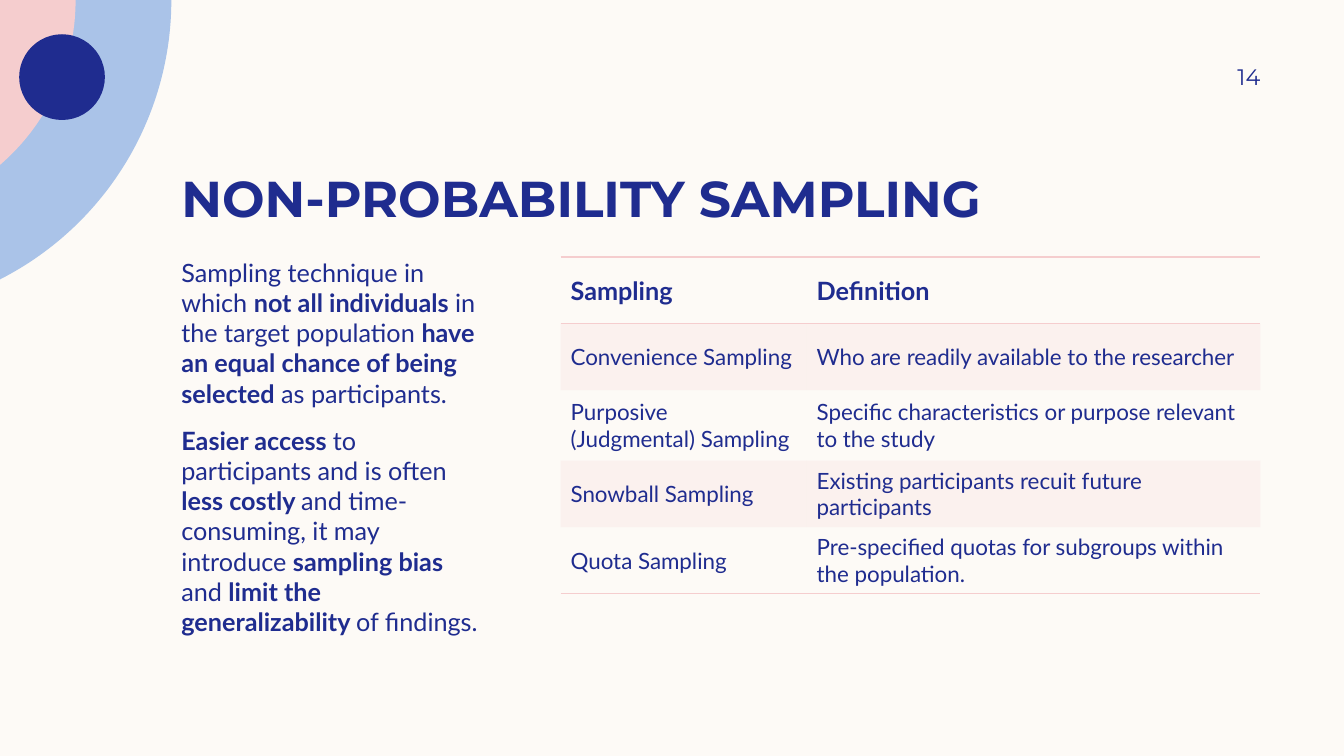
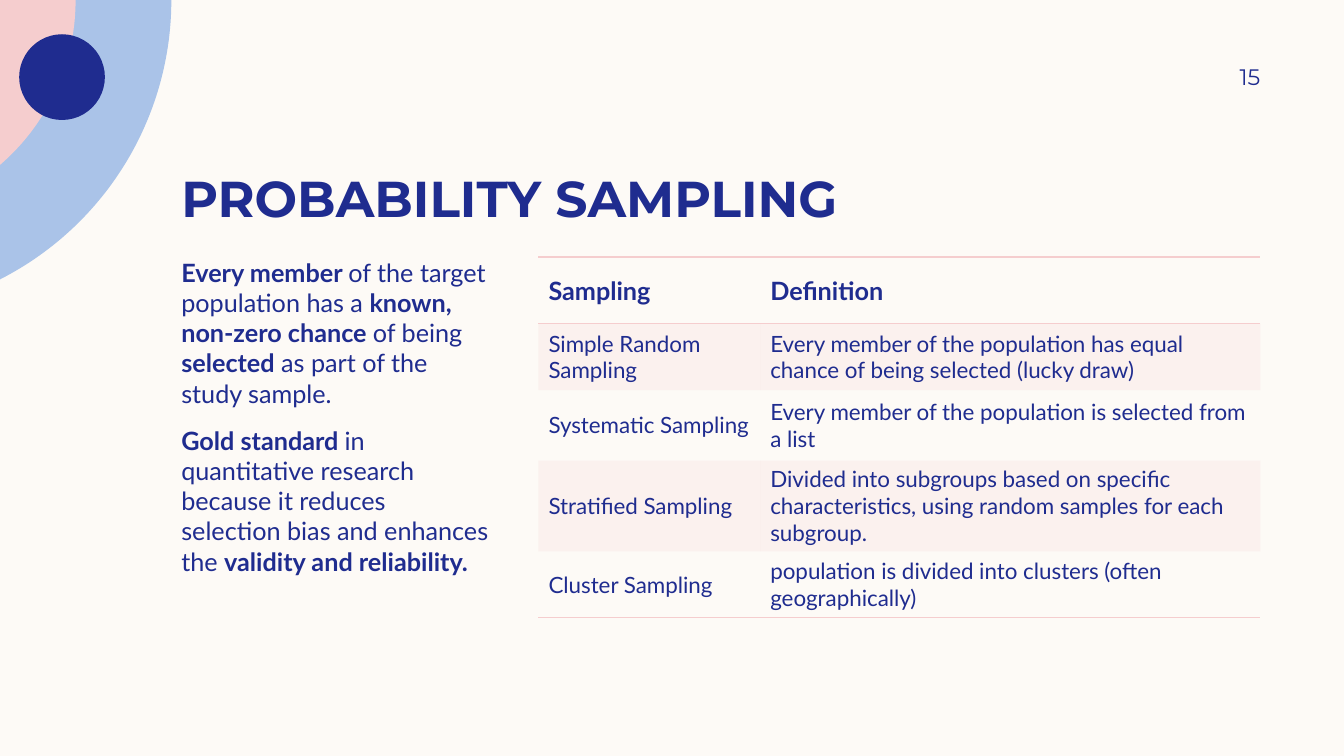
from dataclasses import dataclass
from math import acos, cos, sin

from lxml.etree import SubElement
from pptx import Presentation
from pptx.dml.color import RGBColor
from pptx.enum.shapes import MSO_SHAPE
from pptx.enum.text import MSO_ANCHOR, PP_ALIGN
from pptx.oxml.ns import qn
from pptx.util import Inches, Pt

# Shared look
CREAM = RGBColor(0xFD, 0xFA, 0xF6)
NAVY = RGBColor(0x1F, 0x2C, 0x8F)
BLUE = RGBColor(0xAA, 0xC3, 0xE8)
PINK = RGBColor(0xF5, 0xCD, 0xCE)
HEADING_FONT = "Montserrat"
BODY_FONT = "Lato"
NO_STYLE_NO_GRID = "{2D5ABB26-0587-4C30-8999-92F81FD0307C}"
BAND_OPACITY = 20
RIGHT_EDGE = 12.5
CONTENT_TOP = 2.55
ARC_CENTER_X = -1.41
ARC_STEPS = 60


@dataclass
class SamplingSlide:
    number: int
    title: str
    body: list[str]  # **double asterisks** mark bold words
    column_widths: list[float]
    row_heights: list[float]
    rows: list[tuple[str, str]]


SLIDES = [
    SamplingSlide(
        14,
        "NON-PROBABILITY SAMPLING",
        [
            "Sampling technique in which **not all individuals **in the target population "
            "**have an equal chance of being selected** as participants.",
            "**Easier access **to participants and is often **less costly **and "
            "time-consuming, it may introduce **sampling bias** and "
            "**limit the generalizability **of findings.",
        ],
        [2.44, 4.5],
        [0.66, 0.66, 0.7, 0.66, 0.66],
        [
            ("Convenience Sampling", "Who are readily available to the researcher"),
            ("Purposive (Judgmental) Sampling",
             "Specific characteristics or purpose relevant to the study"),
            ("Snowball Sampling", "Existing participants recuit future participants"),
            ("Quota Sampling", "Pre-specified quotas for subgroups within the population."),
        ],
    ),
    SamplingSlide(
        15,
        "PROBABILITY SAMPLING",
        [
            "**Every member **of the target population has a **known, non-zero chance **"
            "of being **selected** as part of the study sample.",
            "**Gold standard **in quantitative research because it reduces selection bias "
            "and enhances the **validity and reliability.**",
        ],
        [2.2, 4.96],
        [0.66, 0.66, 0.7, 0.9, 0.66],
        [
            ("Simple Random Sampling",
             "Every member of the population has equal chance of being selected (lucky draw)"),
            ("Systematic Sampling", "Every member of the population is selected from a list"),
            ("Stratified Sampling",
             "Divided into subgroups based on specific characteristics, "
             "using random samples for each subgroup."),
            ("Cluster Sampling", "population is divided into clusters (often geographically)"),
        ],
    ),
]


def write_text(text_frame, paragraphs: list[str], *, size: float, font: str = BODY_FONT,
               bold: bool = False, align=PP_ALIGN.LEFT, space_after: float = 0) -> None:
    """Fill a text frame; words between double asterisks switch weight."""
    text_frame.word_wrap = True
    for index, text in enumerate(paragraphs):
        paragraph = text_frame.add_paragraph() if index else text_frame.paragraphs[0]
        paragraph.alignment = align
        paragraph.space_after = Pt(space_after)
        for part_index, part in enumerate(text.split("**")):
            if not part:
                continue
            run = paragraph.add_run()
            run.text = part
            run.font.size = Pt(size)
            run.font.name = font
            run.font.bold = bold != (part_index % 2 == 1)
            run.font.color.rgb = NAVY


def add_text_box(slide, paragraphs: list[str], left: float, top: float, width: float,
                 height: float, *, anchor=MSO_ANCHOR.TOP, margin_right: float = 0.1,
                 **text_format) -> None:
    box = slide.shapes.add_textbox(Inches(left), Inches(top), Inches(width), Inches(height))
    frame = box.text_frame
    frame.margin_left, frame.margin_right = Inches(0.1), Inches(margin_right)
    frame.margin_top = frame.margin_bottom = 0
    frame.vertical_anchor = anchor
    write_text(frame, paragraphs, **text_format)


def paint(shape, color: RGBColor) -> None:
    shape.shadow.inherit = False
    shape.fill.solid()
    shape.fill.fore_color.rgb = color
    shape.line.fill.background()


def add_corner_arc(slide, radius: float, color: RGBColor) -> None:
    """Draw the part of a large disc that falls inside the slide corner."""
    end_angle = acos(-ARC_CENTER_X / radius)
    angles = [end_angle * step / ARC_STEPS for step in range(ARC_STEPS + 1)]
    points = [(Inches(ARC_CENTER_X + radius * cos(angle)), Inches(radius * sin(angle)))
              for angle in angles]
    builder = slide.shapes.build_freeform(0, 0)
    builder.add_line_segments(points, close=True)
    paint(builder.convert_to_shape(), color)


def add_corner_decoration(slide) -> None:
    add_corner_arc(slide, 3.11, BLUE)
    add_corner_arc(slide, 2.16, PINK)
    dot = slide.shapes.add_shape(MSO_SHAPE.OVAL, Inches(0.19), Inches(0.34),
                                 Inches(0.85), Inches(0.85))
    paint(dot, NAVY)


def add_cell_border(cell, side: str) -> None:
    """Rule one side of a cell: lnT is the top, lnB the bottom."""
    line = SubElement(cell._tc.get_or_add_tcPr(), qn(f"a:{side}"), w=str(Pt(1)))
    fill = SubElement(line, qn("a:solidFill"))
    SubElement(fill, qn("a:srgbClr"), val=str(PINK))


def fill_cell(cell, banded: bool) -> None:
    if not banded:
        cell.fill.background()
        return
    cell.fill.solid()
    cell.fill.fore_color.rgb = PINK
    color = cell._tc.tcPr.find(f"{qn('a:solidFill')}/{qn('a:srgbClr')}")
    SubElement(color, qn("a:alpha"), val=str(BAND_OPACITY * 1000))


def add_sampling_table(slide, content: SamplingSlide) -> None:
    rows = [("Sampling", "Definition"), *content.rows]
    width = sum(content.column_widths)
    table = slide.shapes.add_table(
        len(rows), len(content.column_widths), Inches(RIGHT_EDGE - width),
        Inches(CONTENT_TOP), Inches(width), Inches(sum(content.row_heights))).table
    table.horz_banding = False
    table._tbl.tblPr.find(qn("a:tableStyleId")).text = NO_STYLE_NO_GRID
    for column, column_width in zip(table.columns, content.column_widths):
        column.width = Inches(column_width)
    for row_index, (texts, height) in enumerate(zip(rows, content.row_heights)):
        table.rows[row_index].height = Inches(height)
        is_header = row_index == 0
        for column_index, text in enumerate(texts):
            cell = table.cell(row_index, column_index)
            cell.vertical_anchor = MSO_ANCHOR.MIDDLE
            if is_header:
                add_cell_border(cell, "lnT")
            if is_header or row_index == len(rows) - 1:
                add_cell_border(cell, "lnB")
            fill_cell(cell, banded=row_index % 2 == 1)
            write_text(cell.text_frame, [text], size=18 if is_header else 16, bold=is_header)


def add_sampling_slide(presentation, content: SamplingSlide) -> None:
    slide = presentation.slides.add_slide(presentation.slide_layouts[6])
    slide.background.fill.solid()
    slide.background.fill.fore_color.rgb = CREAM
    add_corner_decoration(slide)
    # Title, table, page number and body text
    add_text_box(slide, [content.title], 1.7, 1.19, 10.8, 1.07, anchor=MSO_ANCHOR.BOTTOM,
                 size=36, font=HEADING_FONT, bold=True)
    add_sampling_table(slide, content)
    add_text_box(slide, [str(content.number)], 11.33, 0.5, 1.17, 0.52,
                 anchor=MSO_ANCHOR.MIDDLE, margin_right=0, size=16, font=HEADING_FONT,
                 align=PP_ALIGN.RIGHT)
    add_text_box(slide, content.body, 1.7, CONTENT_TOP, 3.25, 4.15, size=18, space_after=12)


def main() -> None:
    presentation = Presentation()
    presentation.slide_width = Inches(13.33)
    presentation.slide_height = Inches(7.5)
    for content in SLIDES:
        add_sampling_slide(presentation, content)
    presentation.save("out.pptx")


if __name__ == "__main__":
    main()
